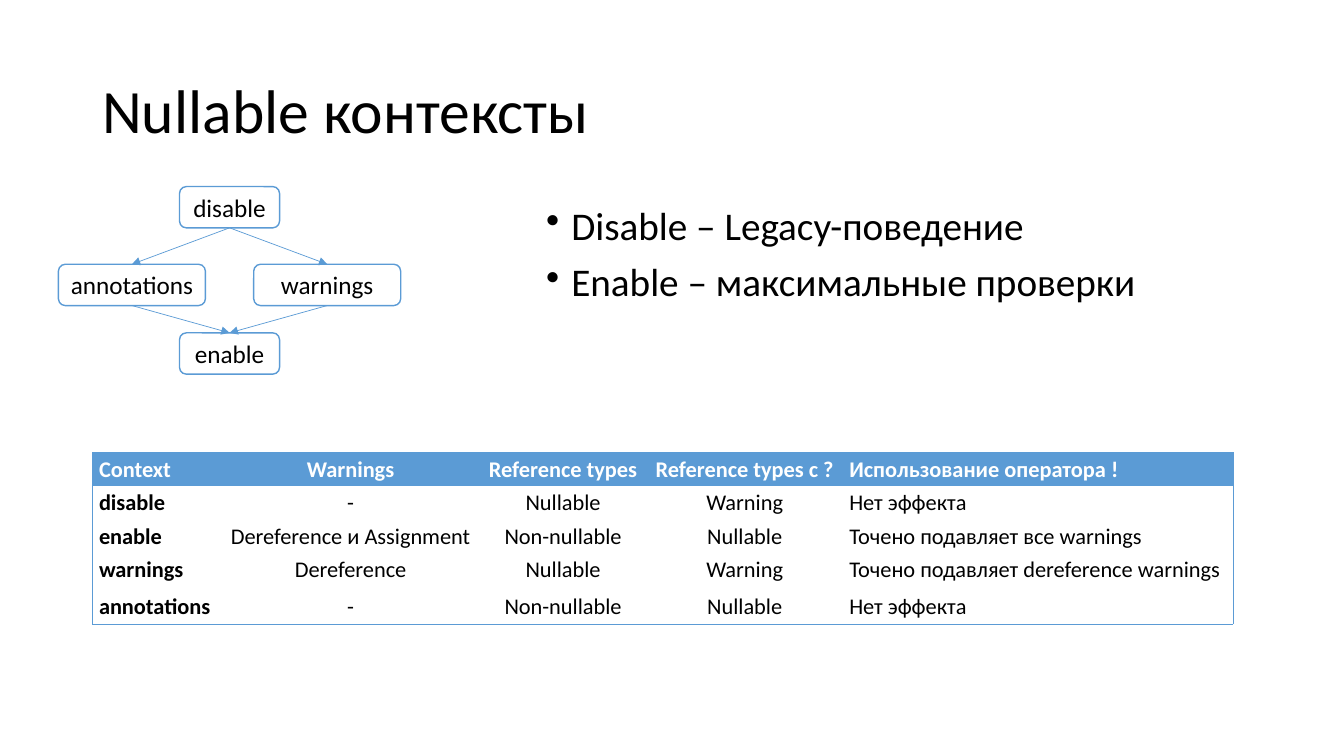
from lxml import etree
from pptx import Presentation
from pptx.dml.color import RGBColor
from pptx.enum.shapes import MSO_CONNECTOR, MSO_SHAPE
from pptx.enum.text import MSO_ANCHOR, PP_ALIGN
from pptx.oxml.ns import qn
from pptx.util import Pt

BLACK = RGBColor(0x00, 0x00, 0x00)
WHITE = RGBColor(0xFF, 0xFF, 0xFF)
BLUE = RGBColor(0x5B, 0x9B, 0xD5)
FONT = "Calibri"
LEFT, CENTER = PP_ALIGN.LEFT, PP_ALIGN.CENTER
MIDDLE = MSO_ANCHOR.MIDDLE
ROUNDED = MSO_SHAPE.ROUNDED_RECTANGLE
STRAIGHT = MSO_CONNECTOR.STRAIGHT
TOP_SITE, BOTTOM_SITE = 0, 2

TITLE_BOX = (66, 29, 828, 104)
BULLETS_BOX = (383, 144, 511, 108)
DIAGRAM_BOX = (41.75, 133.25, 244.5, 134)
TABLE_BOX = (66.25, 323.25, 814.5, 122.5)

BULLETS = ["Disable – Legacy-поведение", "Enable – максимальные проверки"]
EDGES = [("disable", "annotations"), ("disable", "warnings"),
         ("annotations", "enable"), ("warnings", "enable")]
COLUMN_WIDTHS = [92, 184.5, 119, 140.5, 278.5]
COLUMN_ALIGNS = [LEFT, CENTER, CENTER, CENTER, LEFT]
ROW_HEIGHTS = [24, 24, 24, 26.5, 24]
CONTEXTS = [
    ["Context", "Warnings", "Reference types", "Reference types с ?", "Использование оператора !"],
    ["disable", "-", "Nullable", "Warning", "Нет эффекта"],
    ["enable", "Dereference и Assignment", "Non-nullable", "Nullable", "Точено подавляет все warnings"],
    ["warnings", "Dereference", "Nullable", "Warning", "Точено подавляет dereference warnings"],
    ["annotations", "-", "Non-nullable", "Nullable", "Нет эффекта"],
]


def write(para, text, size, color=BLACK, bold=False, align=LEFT, spacing=None, before=None, bullet=None):
    """Write one formatted paragraph."""
    if bullet:
        properties = para._p.get_or_add_pPr()
        properties.set("marL", str(Pt(18)))
        properties.set("indent", str(Pt(-18)))
        etree.SubElement(properties, qn("a:buChar"), char=bullet)
    para.alignment = align
    para.line_spacing = spacing
    para.space_before = before
    span = para.add_run()
    span.text = text
    font = span.font
    font.name, font.size, font.bold = FONT, Pt(size), bold
    font.color.rgb = color


def add_title(page, box, text):
    """Place the slide title, centred vertically in its box."""
    frame = page.shapes.add_textbox(*map(Pt, box)).text_frame
    frame.word_wrap = True
    frame.vertical_anchor = MIDDLE
    write(frame.paragraphs[0], text, size=44, spacing=0.9)


def add_bullets(page, box, lines):
    """Place the bulleted list."""
    frame = page.shapes.add_textbox(*map(Pt, box)).text_frame
    frame.word_wrap = True
    for index, text in enumerate(lines):
        para = frame.add_paragraph() if index else frame.paragraphs[0]
        write(para, text, size=28, spacing=0.9, before=Pt(10 if index else 0), bullet="•")


def add_node(page, box, text):
    """Draw one rounded node of the diagram."""
    node = page.shapes.add_shape(ROUNDED, *map(Pt, box))
    node.shadow.inherit = False
    node.fill.solid()
    node.fill.fore_color.rgb = WHITE
    node.line.color.rgb = BLUE
    node.line.width = Pt(1)
    frame = node.text_frame
    frame.margin_left = frame.margin_right = 0
    frame.vertical_anchor = MIDDLE
    write(frame.paragraphs[0], text, size=18, align=CENTER)
    return node


def add_arrow(page, source, target):
    """Join the bottom of one node to the top of another."""
    arrow = page.shapes.add_connector(STRAIGHT, 0, 0, 0, 0)
    arrow.begin_connect(source, BOTTOM_SITE)
    arrow.end_connect(target, TOP_SITE)
    arrow.line.color.rgb = BLUE
    arrow.line.width = Pt(0.5)
    properties = arrow._element.spPr
    etree.SubElement(properties.find(qn("a:ln")), qn("a:tailEnd"), type="triangle")
    etree.SubElement(properties, qn("a:effectLst"))


def add_diagram(page, box):
    """Draw the diamond of contexts and its arrows."""
    left, top, width, height = box
    narrow, wide, tall = 71.5, 105, 29.5
    middle = left + (width - narrow) / 2
    second_row = top + 55.5
    places = {
        "disable": (middle, top, narrow, tall),
        "annotations": (left, second_row, wide, tall),
        "warnings": (left + width - wide, second_row, wide, tall),
        "enable": (middle, top + height - tall, narrow, tall),
    }
    nodes = {name: add_node(page, place, name) for name, place in places.items()}
    for source, target in EDGES:
        add_arrow(page, nodes[source], nodes[target])


def set_borders(cell, sides):
    """Draw the named sides of a cell and clear the others."""
    properties = cell._tc.get_or_add_tcPr()
    for side in "LRTB":
        line = etree.SubElement(properties, qn(f"a:ln{side}"), w=str(Pt(0.5)))
        if side in sides:
            fill = etree.SubElement(line, qn("a:solidFill"))
            etree.SubElement(fill, qn("a:srgbClr"), val=str(BLUE))
        else:
            etree.SubElement(line, qn("a:noFill"))


def add_contexts_table(page, box, rows):
    """Place the table of contexts with an outer border."""
    last_row, last_column = len(rows) - 1, len(rows[0]) - 1
    table = page.shapes.add_table(len(rows), len(rows[0]), *map(Pt, box)).table
    table.first_row = table.horz_banding = False
    for column, width in zip(table.columns, COLUMN_WIDTHS):
        column.width = Pt(width)
    for row, height in zip(table.rows, ROW_HEIGHTS):
        row.height = Pt(height)
    for y, row in enumerate(rows):
        for x, text in enumerate(row):
            cell = table.cell(y, x)
            outer = {"L": x == 0, "R": x == last_column, "T": y == 0, "B": y == last_row}
            set_borders(cell, [side for side, drawn in outer.items() if drawn])
            cell.fill.solid()
            cell.fill.fore_color.rgb = WHITE if y else BLUE
            cell.margin_left = cell.margin_right = Pt(4.5)
            cell.margin_top = cell.margin_bottom = Pt(2.25)
            write(cell.text_frame.paragraphs[0], text, size=16, color=BLACK if y else WHITE,
                  bold=x == 0 or y == 0, align=COLUMN_ALIGNS[x])


def main():
    """Build and save the slide."""
    deck = Presentation()
    deck.slide_width, deck.slide_height = Pt(960), Pt(540)
    page = deck.slides.add_slide(deck.slide_layouts[6])
    add_title(page, TITLE_BOX, "Nullable контексты")
    add_bullets(page, BULLETS_BOX, BULLETS)
    add_diagram(page, DIAGRAM_BOX)
    add_contexts_table(page, TABLE_BOX, CONTEXTS)
    deck.save("out.pptx")


if __name__ == "__main__":
    main()
